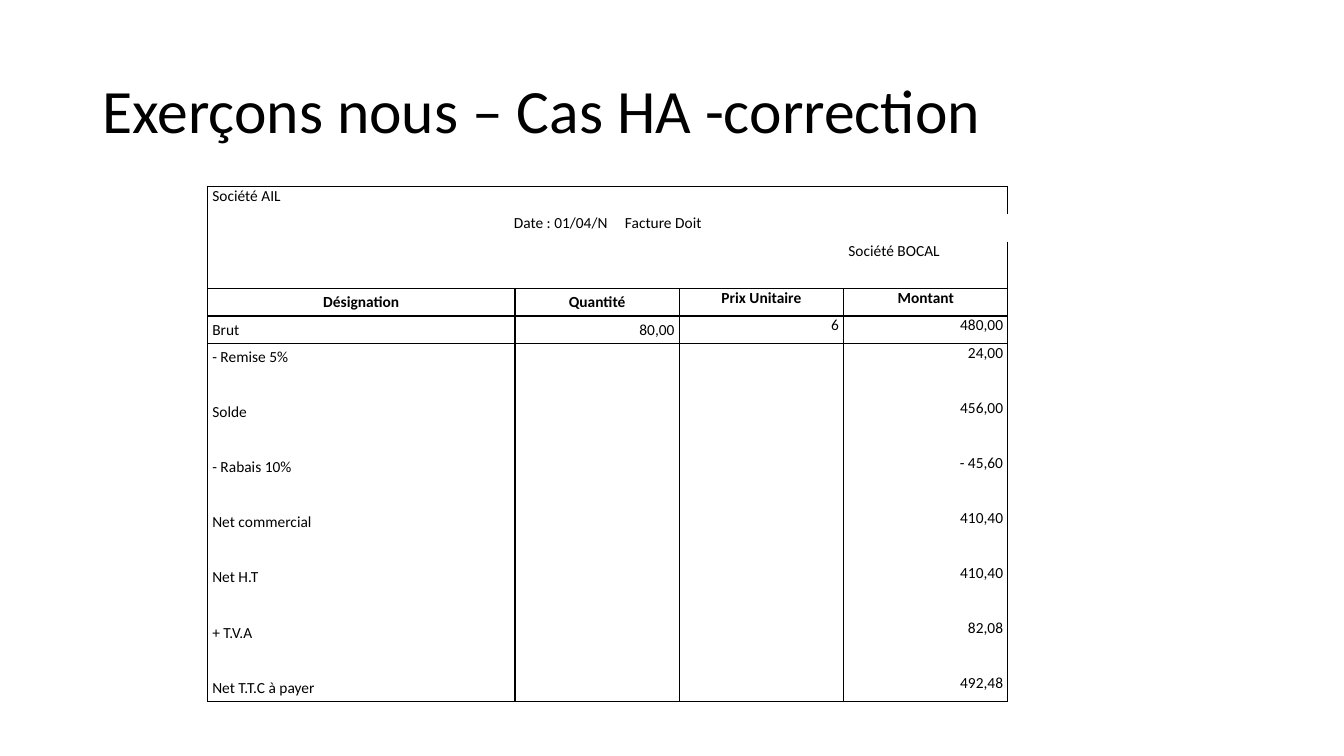
from dataclasses import dataclass

import lxml.etree
import pptx
import pptx.dml.color
import pptx.enum.text
import pptx.oxml
import pptx.oxml.ns
import pptx.table
import pptx.text.text
import pptx.util

Cm = pptx.util.Cm
Pt = pptx.util.Pt
qn = pptx.oxml.ns.qn
Align = pptx.enum.text.PP_ALIGN
Anchor = pptx.enum.text.MSO_ANCHOR

FONT = "Calibri"
BLACK = "000000"
PLAIN = "{2D5ABB26-0587-4C30-8999-92F81FD0307C}"
COLS = 4
ROWS = 18
HEAD = 3
FIRST = 4
TALL = 1.18
SMALL = (12.98 - TALL) / (ROWS - 1)


@dataclass
class Entry:
    row: int
    col: int
    text: str
    align: Align = Align.LEFT
    anchor: Anchor = Anchor.TOP
    bold: bool = False


@dataclass
class Line:
    row: int
    label: str
    sum: str


TOP = [
    Entry(0, 0, "Société AIL"),
    Entry(1, 0, "Date\u00a0: 01/04/N\tFacture Doit", Align.CENTER),
    Entry(2, 3, "Société BOCAL"),
    Entry(HEAD, 0, "Désignation", Align.CENTER, Anchor.MIDDLE, True),
    Entry(HEAD, 1, "Quantité", Align.CENTER, Anchor.MIDDLE, True),
    Entry(HEAD, 2, "Prix Unitaire", Align.CENTER, bold=True),
    Entry(HEAD, 3, "Montant", Align.CENTER, bold=True),
    Entry(FIRST, 1, "80,00", Align.RIGHT, Anchor.MIDDLE),
    Entry(FIRST, 2, "6", Align.RIGHT),
]

LINES = [
    Line(4, "Brut", "480,00"),
    Line(5, "- Remise 5%", "24,00"),
    Line(7, "Solde", "456,00"),
    Line(9, "- Rabais 10%", "- 45,60"),
    Line(11, "Net commercial", "410,40"),
    Line(13, "Net H.T", "410,40"),
    Line(15, "+ T.V.A", "82,08"),
    Line(17, "Net T.T.C à payer", "492,48"),
]


def color(code: str) -> pptx.dml.color.RGBColor:
    return pptx.dml.color.RGBColor.from_string(code)


def add_run(para: pptx.text.text._Paragraph, text: str, size: float,
            bold: bool = False) -> None:
    run = para.add_run()
    run.text = text
    run.font.name = FONT
    run.font.size = Pt(size)
    run.font.bold = bold
    run.font.color.rgb = color(BLACK)


def sides(row: int, col: int) -> str:
    grid = row >= HEAD
    rules = {
        "L": grid or col == 0,
        "R": grid or col == COLS - 1,
        "T": row in (0, HEAD, FIRST),
        "B": row in (HEAD - 1, HEAD, ROWS - 1),
    }
    return "".join(side for side, drawn in rules.items() if drawn)


def frame(cell: pptx.table._Cell, edges: str) -> None:
    props = cell._tc.get_or_add_tcPr()
    for side in edges:
        line = lxml.etree.SubElement(props, qn(f"a:ln{side}"), w=str(Pt(1)))
        fill = lxml.etree.SubElement(line, qn("a:solidFill"))
        lxml.etree.SubElement(fill, qn("a:srgbClr"), val=BLACK)


def set_tab(para: pptx.text.text._Paragraph, stop: int) -> None:
    tabs = lxml.etree.SubElement(para._p.get_or_add_pPr(), qn("a:tabLst"))
    lxml.etree.SubElement(tabs, qn("a:tab"), pos=str(stop), algn="l")


def prepare(cell: pptx.table._Cell, row: int, col: int) -> None:
    cell.margin_left = cell.margin_right = Cm(0.12)
    cell.margin_top = cell.margin_bottom = 0
    frame(cell, sides(row, col))
    cell.fill.background()
    para = cell.text_frame.paragraphs[0]
    lxml.etree.SubElement(para._p, qn("a:endParaRPr"), sz="1100")


def write(table: pptx.table.Table, entry: Entry) -> None:
    cell = table.cell(entry.row, entry.col)
    cell.vertical_anchor = entry.anchor
    para = cell.text_frame.paragraphs[0]
    para.alignment = entry.align
    if "\t" in entry.text:
        set_tab(para, Cm(2.8))
    add_run(para, entry.text, 11, entry.bold)


def add_bill(slide: pptx.slide.Slide) -> None:
    shape = slide.shapes.add_table(ROWS, COLS, Cm(5.23), Cm(4.7),
                                   Cm(20.17), Cm(12.98))
    table = shape.table
    table.first_row = False
    table.horz_banding = False
    table._tbl.tblPr.find(qn("a:tableStyleId")).text = PLAIN
    for col, width in enumerate([7.75] + [4.14] * 3):
        table.columns[col].width = Cm(width)
    for row in range(ROWS):
        table.rows[row].height = Cm(TALL if row == 2 else SMALL)
        for col in range(COLS):
            prepare(table.cell(row, col), row, col)
    table.cell(1, 0).merge(table.cell(1, COLS - 1))
    for entry in TOP:
        write(table, entry)
    for line in LINES:
        write(table, Entry(line.row, 0, line.label, anchor=Anchor.MIDDLE))
        write(table, Entry(line.row, 3, line.sum, Align.RIGHT))


def add_title(slide: pptx.slide.Slide, text: str) -> None:
    title = slide.shapes.title
    title.left, title.top = Cm(2.33), Cm(1.01)
    title.width, title.height = Cm(29.21), Cm(3.68)
    title.text_frame.vertical_anchor = Anchor.MIDDLE
    para = title.text_frame.paragraphs[0]
    para.alignment = Align.LEFT
    para.line_spacing = 0.9
    add_run(para, text, 44)


def main() -> None:
    deck = pptx.Presentation()
    deck.slide_width = Cm(33.87)
    deck.slide_height = Cm(19.05)
    slide = deck.slides.add_slide(deck.slide_layouts[5])
    add_title(slide, "Exerçons nous – Cas HA -correction")
    add_bill(slide)
    deck.save("out.pptx")


if __name__ == "__main__":
    main()
